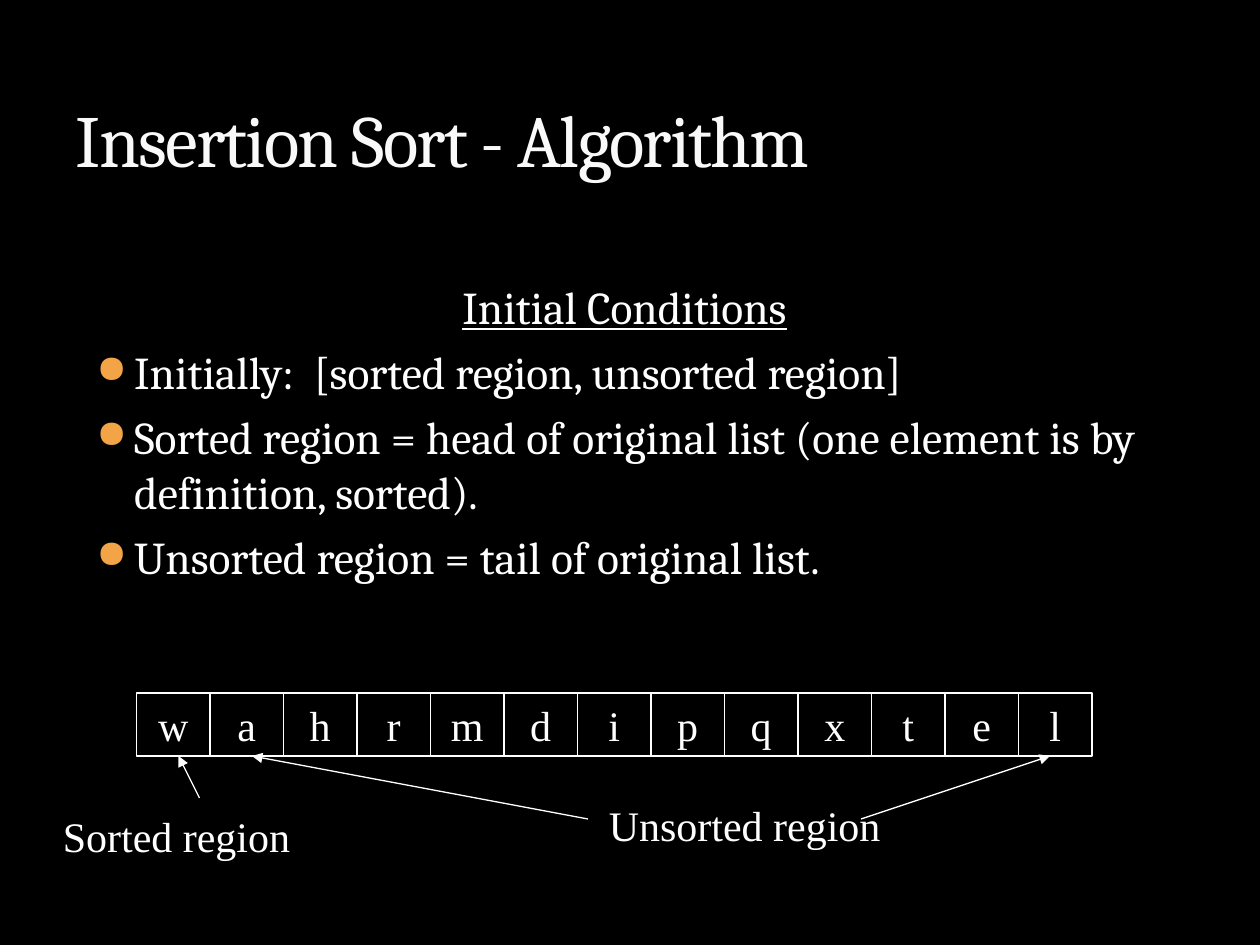
import pptx
import pptx.util
import pptx.dml.color
import pptx.enum.shapes
import pptx.enum.text
import pptx.oxml
import pptx.oxml.ns
from lxml import etree

PX = 7620  # EMU per px, 120 px to the inch
BLACK = pptx.dml.color.RGBColor(0x00, 0x00, 0x00)
WHITE = pptx.dml.color.RGBColor(0xFF, 0xFF, 0xFF)
PALE = pptx.dml.color.RGBColor(0xF9, 0xF9, 0xF9)
AMBER = pptx.dml.color.RGBColor(0xF3, 0xA4, 0x47)
SERIF = "Cambria"
TIMES = "Times New Roman"
ALIGN = pptx.enum.text.PP_ALIGN
ANCHOR = pptx.enum.text.MSO_ANCHOR
FIT = pptx.enum.text.MSO_AUTO_SIZE


def emu(*px):
    return [pptx.util.Emu(n * PX) for n in px]


def add(parent, tag, **attrs):
    node = etree.SubElement(parent, pptx.oxml.ns.qn(tag))
    for name, value in attrs.items():
        node.set(name, str(value))
    return node


def write(para, text, font=TIMES, size=24, color=WHITE, align=ALIGN.LEFT,
          under=False, track=0):
    para.alignment = align
    run = para.add_run()
    run.text = text
    run.font.name = font
    run.font.size = pptx.util.Pt(size)
    run.font.color.rgb = color
    if under:
        run.font.underline = True
    if track:
        run.font._element.set("spc", str(track))


class Deck:
    def __init__(self, wide, high):
        self.file = pptx.Presentation()
        self.file.slide_width, self.file.slide_height = emu(wide, high)
        self.slide = self.file.slides.add_slide(self.file.slide_layouts[5])
        self.slide.background.fill.solid()
        self.slide.background.fill.fore_color.rgb = BLACK
        self.shapes = self.slide.shapes

    def title(self, text, *box):
        head = self.shapes.title
        head.left, head.top, head.width, head.height = emu(*box)
        frame = head.text_frame
        frame.auto_size = FIT.NONE
        frame.vertical_anchor = ANCHOR.BOTTOM
        write(frame.paragraphs[0], text, SERIF, 42, PALE, track=-100)

    def body(self, lead, items, *box):
        frame = self.shapes.add_textbox(*emu(*box)).text_frame
        frame.word_wrap = True
        for i, text in enumerate([lead, *items]):
            para = frame.add_paragraph() if i else frame.paragraphs[0]
            write(para, text, SERIF, 26, under=i == 0,
                  align=ALIGN.LEFT if i else ALIGN.CENTER)
            para.space_before = pptx.util.Pt(6)
            self.indent(para, 36)
            if i:
                self.bullet(para)

    def indent(self, para, step):
        props = para._p.get_or_add_pPr()
        props.set("marL", str(step * PX))
        props.set("indent", str(-step * PX))

    def bullet(self, para):
        props = para._p.get_or_add_pPr()
        add(add(props, "a:buClr"), "a:srgbClr", val=AMBER)
        add(props, "a:buSzPct", val=85000)
        add(props, "a:buChar", char="●")

    def cell(self, text, *box):
        rect = self.shapes.add_shape(
            pptx.enum.shapes.MSO_SHAPE.RECTANGLE, *emu(*box))
        rect.shadow.inherit = False
        rect.fill.solid()
        rect.fill.fore_color.rgb = BLACK
        rect.line.color.rgb = WHITE
        rect.line.width = pptx.util.Pt(0.75)
        frame = rect.text_frame
        frame.word_wrap = False
        frame.vertical_anchor = ANCHOR.MIDDLE
        write(frame.paragraphs[0], text, align=ALIGN.CENTER)

    def label(self, text, *box):
        frame = self.shapes.add_textbox(*emu(*box)).text_frame
        frame.word_wrap = False
        frame.auto_size = FIT.SHAPE_TO_FIT_TEXT
        write(frame.paragraphs[0], text)

    def arrow(self, *ends):
        line = self.shapes.add_connector(
            pptx.enum.shapes.MSO_CONNECTOR.STRAIGHT, *emu(*ends))
        line.line.color.rgb = WHITE
        line.line.width = pptx.util.Pt(0.75)
        add(line.line._get_or_add_ln(), "a:tailEnd", type="triangle")
        add(line._element.spPr, "a:effectLst")


def main():
    deck = Deck(1200, 900)

    # Title and conditions
    deck.title("Insertion Sort - Algorithm", 60, 20, 1080, 160)
    deck.body("Initial Conditions", [
        "Initially:  [sorted region, unsorted region]",
        "Sorted region = head of original list "
        "(one element is by definition, sorted).",
        "Unsorted region = tail of original list.",
    ], 80, 260, 1030, 370)

    # List of letters
    left, top, wide, high = 130, 660, 70, 60
    for i, char in enumerate("wahrmdipqxtel"):
        deck.cell(char, left + i * wide, top, wide, high)

    # Region labels and their arrows
    deck.label("Unsorted region", 568, 756, 283, 60)
    deck.label("Sorted region", 48, 766, 241, 60)
    base = top + high
    for x, y, tip in [(190, 760, 170), (560, 780, 240), (820, 780, 1000)]:
        deck.arrow(x, y, tip, base)

    deck.file.save("out.pptx")


if __name__ == "__main__":
    main()
